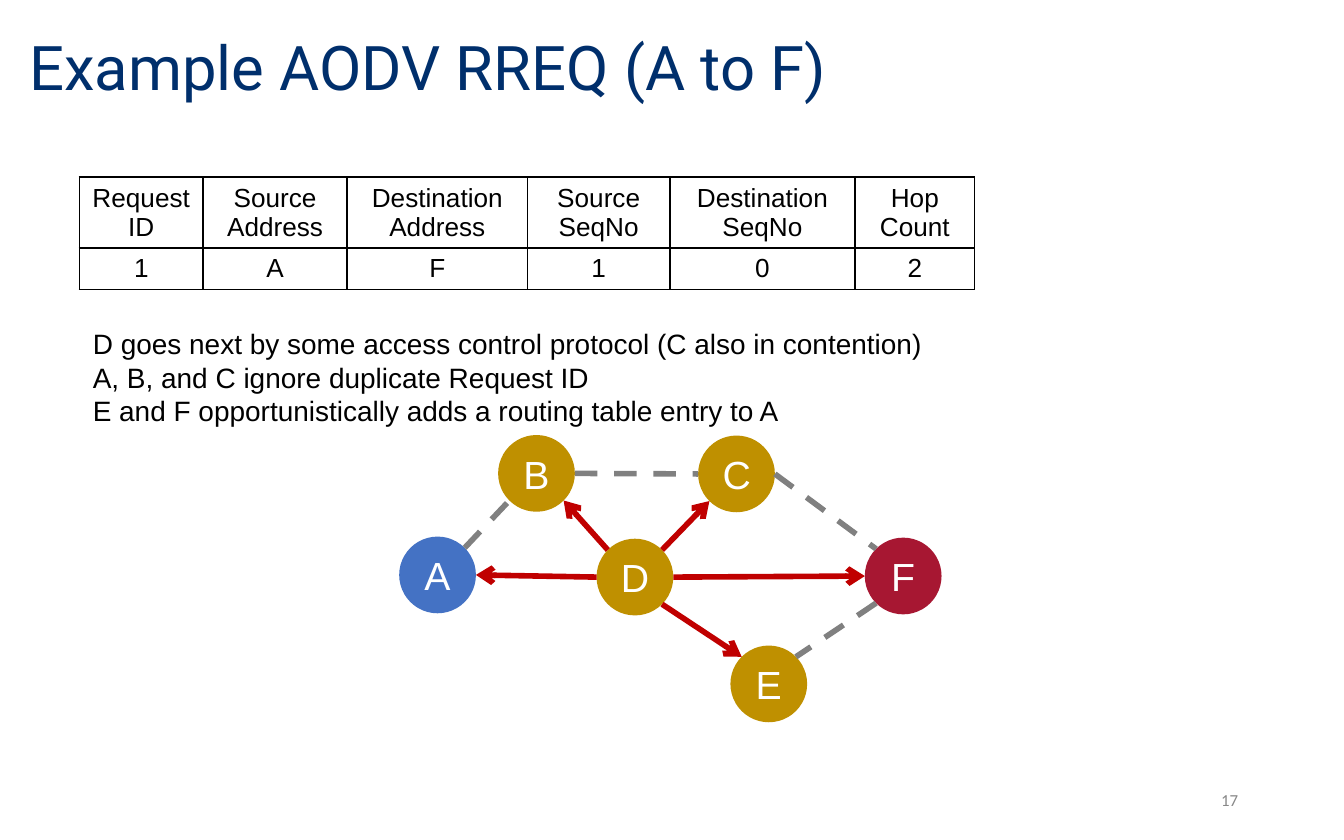
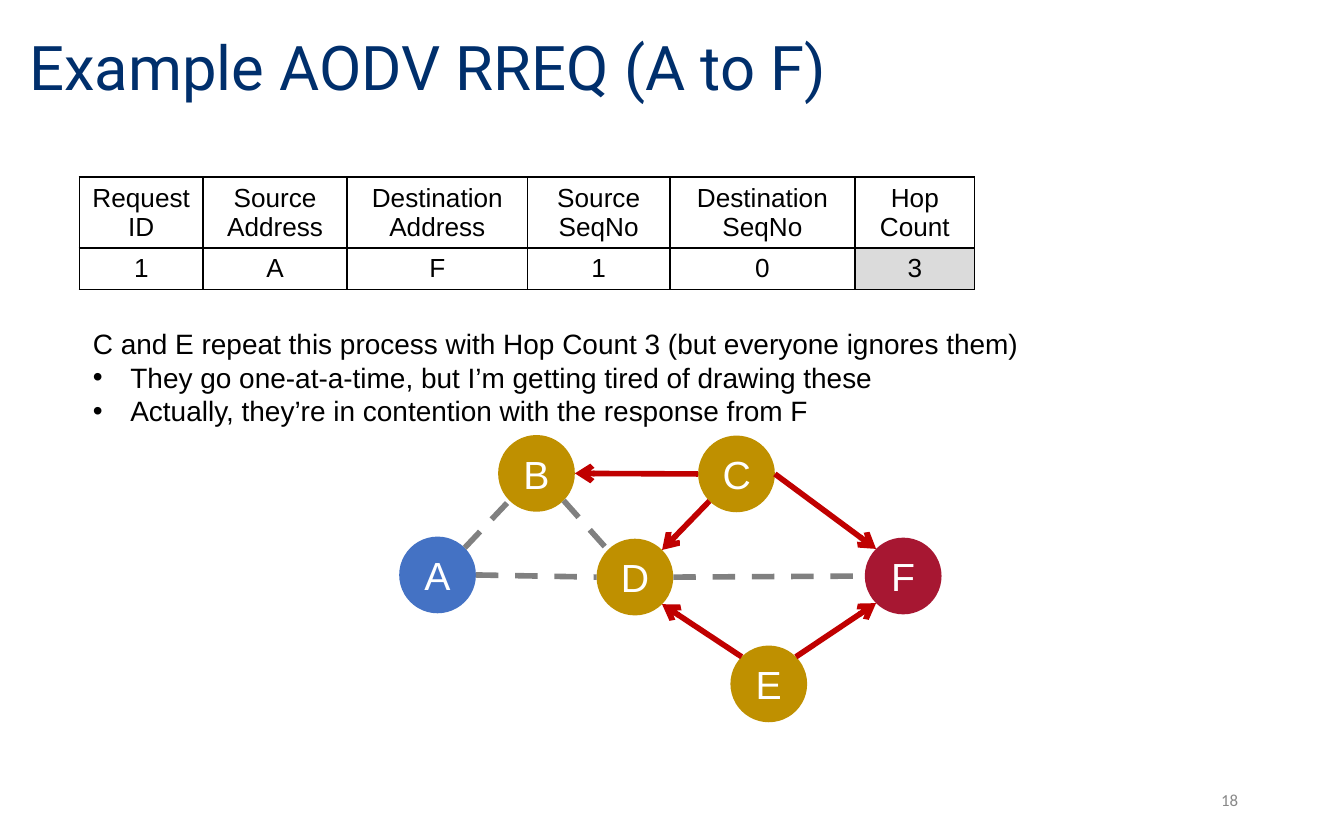
import copy
import math
from dataclasses import dataclass
from typing import NamedTuple, Optional

import pptx
import pptx.dml.color
import pptx.enum.dml
import pptx.enum.shapes
import pptx.enum.text
import pptx.oxml.ns
import pptx.oxml.xmlchemy
import pptx.util
from lxml import etree
from pptx.util import Cm

Align = pptx.enum.text.PP_ALIGN
Anchor = pptx.enum.text.MSO_ANCHOR
qn = pptx.oxml.ns.qn

# Shared look
COLORS = {
    "title": "002F6C",
    "text": "000000",
    "number": "888888",
    "paper": "FFFFFF",
    "changed": "DBDBDB",
    "source": "4472C4",
    "relay": "BF9000",
    "destination": "A71732",
    "idle": "808080",
    "request": "C00000",
}
TITLE = "Example AODV RREQ (A to F)"
NODE_DIAMETER = 1.45
BULLET_INDENT = Cm(0.71)

# Compass points on a node, in degrees clockwise from the right
SITES = {"E": 0, "SE": 45, "SW": 135, "W": 180, "NW": 225, "NE": 315}

HEADERS = ["Request ID", "Source Address", "Destination Address",
           "Source SeqNo", "Destination\vSeqNo", "Hop Count"]
COLUMN_WIDTHS = [2.34, 2.72, 3.41, 2.69, 3.5, 2.26]
ROW_HEIGHTS = [1.34, 0.78]


class Box(NamedTuple):
    left: float
    top: float
    width: float
    height: float

    def lengths(self) -> list:
        return [Cm(value) for value in self]


class Node(NamedTuple):
    x: float
    y: float
    role: str = "relay"

    def site(self, name: str) -> tuple:
        angle = math.radians(SITES[name])
        radius = NODE_DIAMETER / 2
        return (Cm(self.x + radius * math.cos(angle)),
                Cm(self.y + radius * math.sin(angle)))


class Link(NamedTuple):
    start: str
    start_site: str
    end: str
    end_site: str


class Remark(NamedTuple):
    text: str
    bullet: str = ""


@dataclass
class Step:
    number: int
    senders: str
    hop_count: int
    hop_fill: str
    remarks: list


TITLE_BOX = Box(0.3, 0.25, 21.64, 2.18)
NUMBER_BOX = Box(17.93, 14.71, 5.72, 0.84)
REMARK_BOX = Box(1.5, 6.05, 21.67, 2.18)
TABLE_BOX = Box(1.5, 3.35, sum(COLUMN_WIDTHS), sum(ROW_HEIGHTS))

NODES = {
    "A": Node(8.27, 10.87, "source"),
    "B": Node(10.14, 8.95),
    "C": Node(13.92, 8.96),
    "D": Node(12, 10.91),
    "E": Node(14.53, 12.93),
    "F": Node(17.07, 10.89, "destination"),
}
LINKS = [
    Link("A", "NE", "B", "SW"),
    Link("B", "E", "C", "W"),
    Link("B", "SE", "D", "NW"),
    Link("C", "SW", "D", "NE"),
    Link("C", "E", "F", "NW"),
    Link("D", "E", "F", "W"),
    Link("D", "SE", "E", "NW"),
    Link("F", "SW", "E", "NE"),
    Link("A", "E", "D", "W"),
]
STEPS = [
    Step(17, "D", 2, "paper", [
        Remark("D goes next by some access control protocol (C also in contention)"),
        Remark("A, B, and C ignore duplicate Request ID\v"
               "E and F opportunistically adds a routing table entry to A"),
    ]),
    Step(18, "CE", 3, "changed", [
        Remark("C and E repeat this process with Hop Count 3 (but everyone ignores them)"),
        Remark("They go one-at-a-time, but I’m getting tired of drawing these", "•"),
        Remark("Actually, they’re in contention with the response from F", "•"),
    ]),
]


def rgb(name: str) -> pptx.dml.color.RGBColor:
    return pptx.dml.color.RGBColor.from_string(COLORS[name])


def add_element(parent, tag: str, **attributes: str):
    element = etree.SubElement(parent, qn(tag))
    for name, value in attributes.items():
        element.set(name, value)
    return element


def write_text(paragraph, text: str, *, size: float, font: str = "Arial",
               color: str = "text", align=Align.LEFT, line_spacing: float = 1.0,
               bullet: Optional[str] = None) -> None:
    """Fill a paragraph; an empty bullet string turns the inherited one off."""
    paragraph.text = text
    if bullet is not None:
        properties = paragraph._p.get_or_add_pPr()
        indent = int(BULLET_INDENT) if bullet else 0
        properties.set("marL", str(indent))
        properties.set("indent", str(-indent))
        if bullet:
            bullet_color = add_element(properties, "a:buClr")
            add_element(bullet_color, "a:srgbClr", val=COLORS[color])
            add_element(properties, "a:buFont", typeface=font)
            add_element(properties, "a:buChar", char=bullet)
        else:
            add_element(properties, "a:buNone")
    paragraph.alignment = align
    paragraph.line_spacing = line_spacing
    paragraph.space_before = pptx.util.Pt(0)
    for run in paragraph.runs:
        run.font.size = pptx.util.Pt(size)
        run.font.name = font
        run.font.color.rgb = rgb(color)
    # Line breaks take the size of the text around them
    for line_break in paragraph._p.findall(qn("a:br")):
        line_break.append(copy.deepcopy(paragraph.runs[0]._r.rPr))


def prepare_frame(shape, anchor):
    frame = shape.text_frame
    frame.word_wrap = True
    frame.auto_size = pptx.enum.text.MSO_AUTO_SIZE.NONE
    frame.vertical_anchor = anchor
    return frame


def place(shape, box: Box) -> None:
    shape.left, shape.top, shape.width, shape.height = box.lengths()


def add_title_and_number(slide, number: int) -> None:
    title = slide.shapes.title
    place(title, TITLE_BOX)
    write_text(prepare_frame(title, Anchor.MIDDLE).paragraphs[0], TITLE,
               size=33, font="Roboto", color="title", line_spacing=0.9)
    number_box = slide.shapes.add_textbox(*NUMBER_BOX.lengths())
    write_text(prepare_frame(number_box, Anchor.MIDDLE).paragraphs[0], str(number),
               size=9, font="Calibri", color="number", align=Align.RIGHT)


def add_remarks(slide, remarks: list) -> None:
    body = slide.placeholders[1]
    place(body, REMARK_BOX)
    frame = prepare_frame(body, Anchor.TOP)
    for index, remark in enumerate(remarks):
        paragraph = frame.add_paragraph() if index else frame.paragraphs[0]
        write_text(paragraph, remark.text, size=15, bullet=remark.bullet)


def add_node(slide, name: str, node: Node) -> None:
    box = Box(node.x - NODE_DIAMETER / 2, node.y - NODE_DIAMETER / 2,
              NODE_DIAMETER, NODE_DIAMETER)
    circle = slide.shapes.add_shape(pptx.enum.shapes.MSO_SHAPE.OVAL, *box.lengths())
    circle.shadow.inherit = False
    circle.fill.solid()
    circle.fill.fore_color.rgb = rgb(node.role)
    circle.line.fill.background()
    write_text(prepare_frame(circle, Anchor.MIDDLE).paragraphs[0], name,
               size=21, color="paper", align=Align.CENTER)


def add_link(slide, link: Link, senders: str) -> None:
    """Draw a red arrow away from a sender, or a dashed line if neither end sends."""
    connector = slide.shapes.add_connector(
        pptx.enum.shapes.MSO_CONNECTOR.STRAIGHT,
        *NODES[link.start].site(link.start_site),
        *NODES[link.end].site(link.end_site))
    line = connector.line
    line.width = pptx.util.Pt(3)
    if link.start in senders or link.end in senders:
        line.color.rgb = rgb("request")
        arrow_end = "a:tailEnd" if link.start in senders else "a:headEnd"
        add_element(line._get_or_add_ln(), arrow_end, type="arrow")
    else:
        line.color.rgb = rgb("idle")
        line.dash_style = pptx.enum.dml.MSO_LINE.DASH
    add_element(connector._element.spPr, "a:effectLst")


def format_cell(cell, text: str, fill: str) -> None:
    cell.margin_left = cell.margin_right = Cm(0.18)
    cell.margin_top = cell.margin_bottom = Cm(0.1)
    cell.vertical_anchor = Anchor.MIDDLE
    properties = cell._tc.get_or_add_tcPr()
    for side in "LRTB":
        border = add_element(properties, f"a:ln{side}", w=str(int(pptx.util.Pt(1))))
        border_fill = add_element(border, "a:solidFill")
        add_element(border_fill, "a:srgbClr", val=COLORS["text"])
    cell.fill.solid()
    cell.fill.fore_color.rgb = rgb(fill)
    write_text(cell.text_frame.paragraphs[0], text, size=14, align=Align.CENTER)


def add_request_table(slide, step: Step) -> None:
    rows = [HEADERS, ["1", "A", "F", "1", "0", str(step.hop_count)]]
    table = slide.shapes.add_table(len(rows), len(HEADERS), *TABLE_BOX.lengths()).table
    table.first_row = table.horz_banding = False
    for column, width in zip(table.columns, COLUMN_WIDTHS):
        column.width = Cm(width)
    for row, height in zip(table.rows, ROW_HEIGHTS):
        row.height = Cm(height)
    hop_cell = (len(rows) - 1, len(HEADERS) - 1)
    for row_index, texts in enumerate(rows):
        for column_index, text in enumerate(texts):
            position = (row_index, column_index)
            fill = step.hop_fill if position == hop_cell else "paper"
            format_cell(table.cell(*position), text, fill)


def add_step_slide(presentation, step: Step) -> None:
    slide = presentation.slides.add_slide(presentation.slide_layouts[1])
    add_title_and_number(slide, step.number)
    # Network
    for name, node in NODES.items():
        add_node(slide, name, node)
    for link in LINKS:
        add_link(slide, link, step.senders)
    # Request fields and what happens next
    add_request_table(slide, step)
    add_remarks(slide, step.remarks)


def main() -> None:
    presentation = pptx.Presentation()
    presentation.slide_width = Cm(25.4)
    presentation.slide_height = Cm(15.88)
    for step in STEPS:
        add_step_slide(presentation, step)
    presentation.save("out.pptx")


if __name__ == "__main__":
    main()
